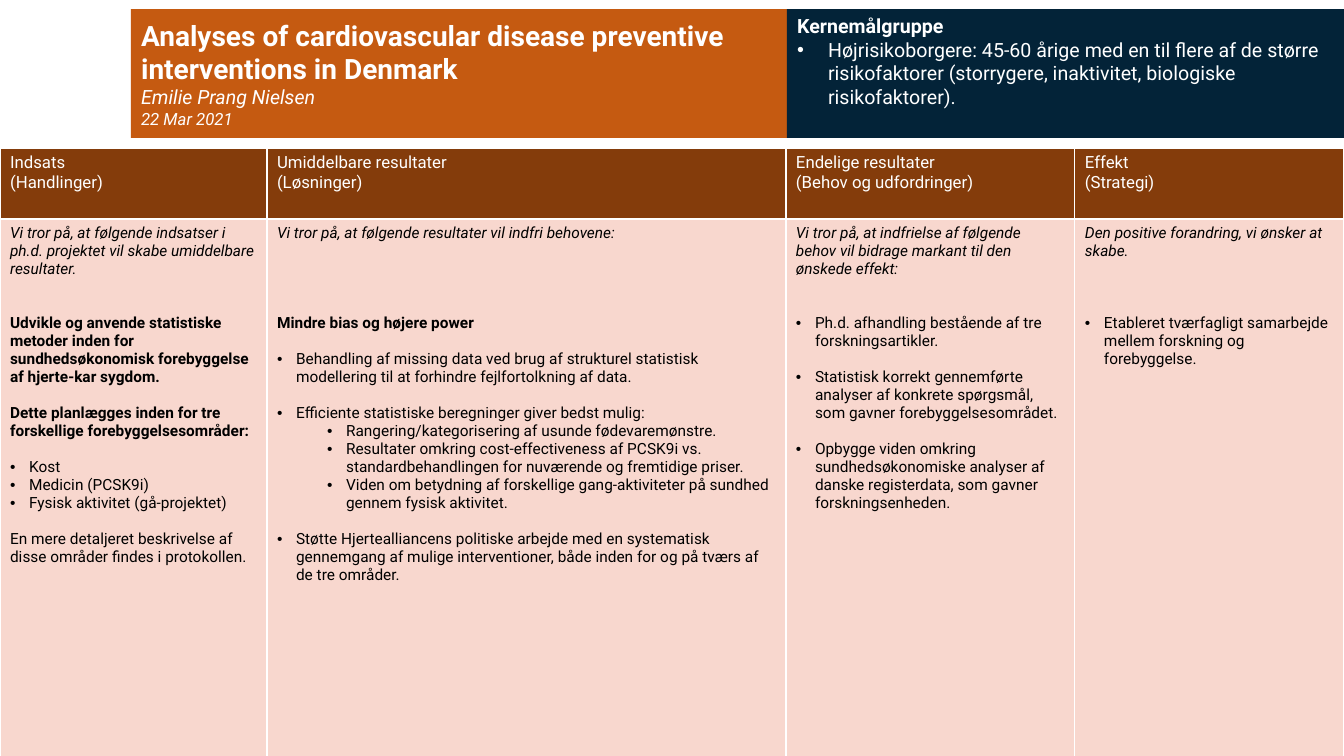
"""Build the one-slide effect chain for a PhD project on preventive interventions."""
from dataclasses import dataclass
from typing import Any

from lxml import etree
from pptx import Presentation
from pptx.dml.color import RGBColor
from pptx.enum.text import MSO_ANCHOR, MSO_AUTO_SIZE, PP_ALIGN
from pptx.oxml.ns import qn
from pptx.util import Emu, Pt

LEFT = PP_ALIGN.LEFT
TOP, MIDDLE = MSO_ANCHOR.TOP, MSO_ANCHOR.MIDDLE
NO_AUTOFIT = MSO_AUTO_SIZE.NONE

EMU_PER_PX = 914400 / 100.8
SLIDE_WIDTH, SLIDE_HEIGHT = 1344, 756
TABLE_TOP = 148
COLUMN_WIDTHS = (267, 519, 289, 269)
ROW_HEIGHTS = (71, 660)
BLANK_LINE_PT = 12.9
BORDER_PT = 1

WHITE, BLACK = "FFFFFF", "000000"
ORANGE, NAVY = "C55A11", "032338"
BROWN, PINK = "843C0B", "F8D7CE"


def px(length: int) -> Emu:
    """Turn px into EMU."""
    return Emu(round(length * EMU_PER_PX))


def color(hex_value: str) -> RGBColor:
    """Turn a hex string into a colour."""
    return RGBColor.from_string(hex_value)


def font_format(size: int, hex_value: str, bold: bool = False, italic: bool = False) -> dict[str, Any]:
    """Give the font values of one text style."""
    return {"size": Pt(size), "bold": bold, "italic": italic, "name": "Roboto", "color": hex_value}


FONTS = {
    "title": font_format(20, WHITE, bold=True),
    "author": font_format(14, WHITE, italic=True),
    "date": font_format(12, WHITE, italic=True),
    "target_heading": font_format(14, WHITE, bold=True),
    "target": font_format(14, WHITE),
    "header": font_format(12, WHITE),
    "intro": font_format(11, BLACK, italic=True),
    "strong": font_format(11, BLACK, bold=True),
    "plain": font_format(11, BLACK),
}


@dataclass(frozen=True)
class Line:
    """One paragraph, with the blank lines of space above it."""

    text: str
    style: str = "plain"
    gap: int = 0
    indent: int = 0
    hanging: int = 0
    level: int = 0


@dataclass(frozen=True)
class Banner:
    """One filled box above the table."""

    left: int
    top: int
    width: int
    height: int
    fill: str
    anchor: Any
    lines: tuple[Line, ...]


@dataclass(frozen=True)
class Stage:
    """One column of the effect chain."""

    heading: str
    focus: str
    lines: tuple[Line, ...]


def bullet(text: str, gap: int = 0) -> Line:
    """Give a first-level bullet."""
    return Line(text, gap=gap, indent=19, hanging=19)


def sub_bullet(text: str) -> Line:
    """Give a second-level bullet."""
    return Line(text, indent=69, hanging=19, level=1)


PROJECT = Banner(131, 9, 656, 129, ORANGE, MIDDLE, (
    Line("Analyses of cardiovascular disease preventive interventions in Denmark", "title"),
    Line("Emilie Prang Nielsen", "author"),
    Line("22 Mar 2021", "date"),
))
TARGET_GROUP = Banner(787, 9, 557, 129, NAVY, TOP, (
    Line("Kernemålgruppe", "target_heading"),
    Line("Højrisikoborgere: 45-60 årige med en til flere af de større risikofaktorer "
         "(storrygere, inaktivitet, biologiske risikofaktorer).", "target", indent=31, hanging=31),
))
STAGES = (
    Stage("Indsats", "(Handlinger)", (
        Line("Vi tror på, at følgende indsatser i ph.d. projektet vil skabe umiddelbare resultater.", "intro"),
        Line("Udvikle og anvende statistiske metoder inden for sundhedsøkonomisk forebyggelse "
             "af hjerte-kar sygdom.", "strong", gap=2),
        Line("Dette planlægges inden for tre forskellige forebyggelsesområder:", "strong", gap=1),
        bullet("Kost", gap=1),
        bullet("Medicin (PCSK9i)"),
        bullet("Fysisk aktivitet (gå-projektet)"),
        Line("En mere detaljeret beskrivelse af disse områder findes i protokollen.", gap=1),
    )),
    Stage("Umiddelbare resultater", "(Løsninger)", (
        Line("Vi tror på, at følgende resultater vil indfri behovene:", "intro"),
        Line("Mindre bias og højere power", "strong", gap=4),
        bullet("Behandling af missing data ved brug af strukturel statistisk modellering "
               "til at forhindre fejlfortolkning af data.", gap=1),
        bullet("Efficiente statistiske beregninger giver bedst mulig:", gap=1),
        sub_bullet("Rangering/kategorisering af usunde fødevaremønstre."),
        sub_bullet("Resultater omkring cost-effectiveness af PCSK9i vs. standardbehandlingen "
                   "for nuværende og fremtidige priser."),
        sub_bullet("Viden om betydning af forskellige gang-aktiviteter på sundhed gennem fysisk aktivitet."),
        bullet("Støtte Hjertealliancens politiske arbejde med en systematisk gennemgang af mulige "
               "interventioner, både inden for og på tværs af de tre områder.", gap=1),
    )),
    Stage("Endelige resultater", "(Behov og udfordringer)", (
        Line("Vi tror på, at indfrielse af følgende behov vil bidrage markant til den ønskede effekt:", "intro"),
        bullet("Ph.d. afhandling bestående af tre forskningsartikler.", gap=2),
        bullet("Statistisk korrekt gennemførte analyser af konkrete spørgsmål, "
               "som gavner forebyggelsesområdet.", gap=1),
        bullet("Opbygge viden omkring sundhedsøkonomiske analyser af danske registerdata, "
               "som gavner forskningsenheden.", gap=1),
    )),
    Stage("Effekt", "(Strategi)", (
        Line("Den positive forandring, vi ønsker at skabe.", "intro"),
        bullet("Etableret tværfagligt samarbejde mellem forskning og forebyggelse.", gap=3),
    )),
)


def write_lines(text_frame: Any, lines: tuple[Line, ...]) -> None:
    """Fill a text frame with formatted paragraphs."""
    for index, line in enumerate(lines):
        paragraph = text_frame.add_paragraph() if index else text_frame.paragraphs[0]
        layout = {"alignment": LEFT, "level": line.level, "space_before": Pt(line.gap * BLANK_LINE_PT)}
        for attribute, value in layout.items():
            setattr(paragraph, attribute, value)
        run = paragraph.add_run()
        run.text = line.text
        for attribute, value in FONTS[line.style].items():
            if attribute == "color":
                run.font.color.rgb = color(value)
            else:
                setattr(run.font, attribute, value)
        properties = paragraph._p.get_or_add_pPr()
        properties.set("marL", str(px(line.indent)))
        properties.set("indent", str(-px(line.hanging)))
        if line.hanging:
            etree.SubElement(properties, qn("a:buFont"), typeface="Arial")
            etree.SubElement(properties, qn("a:buChar"), char="•")
        else:
            etree.SubElement(properties, qn("a:buNone"))


def place_banner(placeholder: Any, banner: Banner) -> None:
    """Move a placeholder into its banner position, then fill and write it."""
    for side in ("left", "top", "width", "height"):
        setattr(placeholder, side, px(getattr(banner, side)))
    placeholder.fill.solid()
    placeholder.fill.fore_color.rgb = color(banner.fill)
    frame_format = {"word_wrap": True, "auto_size": NO_AUTOFIT, "vertical_anchor": banner.anchor}
    for attribute, value in frame_format.items():
        setattr(placeholder.text_frame, attribute, value)
    write_lines(placeholder.text_frame, banner.lines)


def paint_cell(cell: Any, fill: str) -> None:
    """Give a cell its fill and thin white borders."""
    cell.fill.solid()
    cell.fill.fore_color.rgb = color(fill)
    properties = cell._tc.get_or_add_tcPr()
    for index, edge in enumerate(("a:lnL", "a:lnR", "a:lnT", "a:lnB")):
        border = etree.Element(qn(edge), w=str(Pt(BORDER_PT)))
        solid = etree.SubElement(border, qn("a:solidFill"))
        etree.SubElement(solid, qn("a:srgbClr"), val=WHITE)
        properties.insert(index, border)


def add_effect_chain(slide: Any) -> None:
    """Draw the table of stages."""
    chain = slide.shapes.add_table(
        len(ROW_HEIGHTS), len(STAGES), 0, px(TABLE_TOP), px(SLIDE_WIDTH), px(sum(ROW_HEIGHTS))
    ).table
    chain.horz_banding = False
    for row, height in zip(chain.rows, ROW_HEIGHTS):
        row.height = px(height)
    for index, (stage, width) in enumerate(zip(STAGES, COLUMN_WIDTHS)):
        chain.columns[index].width = px(width)
        header = (Line(stage.heading, "header"), Line(stage.focus, "header"))
        for row_index, (lines, fill) in enumerate(((header, BROWN), (stage.lines, PINK))):
            cell = chain.cell(row_index, index)
            paint_cell(cell, fill)
            write_lines(cell.text_frame, lines)


def main() -> None:
    """Build and save the presentation."""
    presentation = Presentation()
    presentation.slide_width, presentation.slide_height = px(SLIDE_WIDTH), px(SLIDE_HEIGHT)
    slide = presentation.slides.add_slide(presentation.slide_layouts[1])
    place_banner(slide.placeholders[1], TARGET_GROUP)
    add_effect_chain(slide)
    place_banner(slide.shapes.title, PROJECT)
    presentation.save("out.pptx")


if __name__ == "__main__":
    main()
